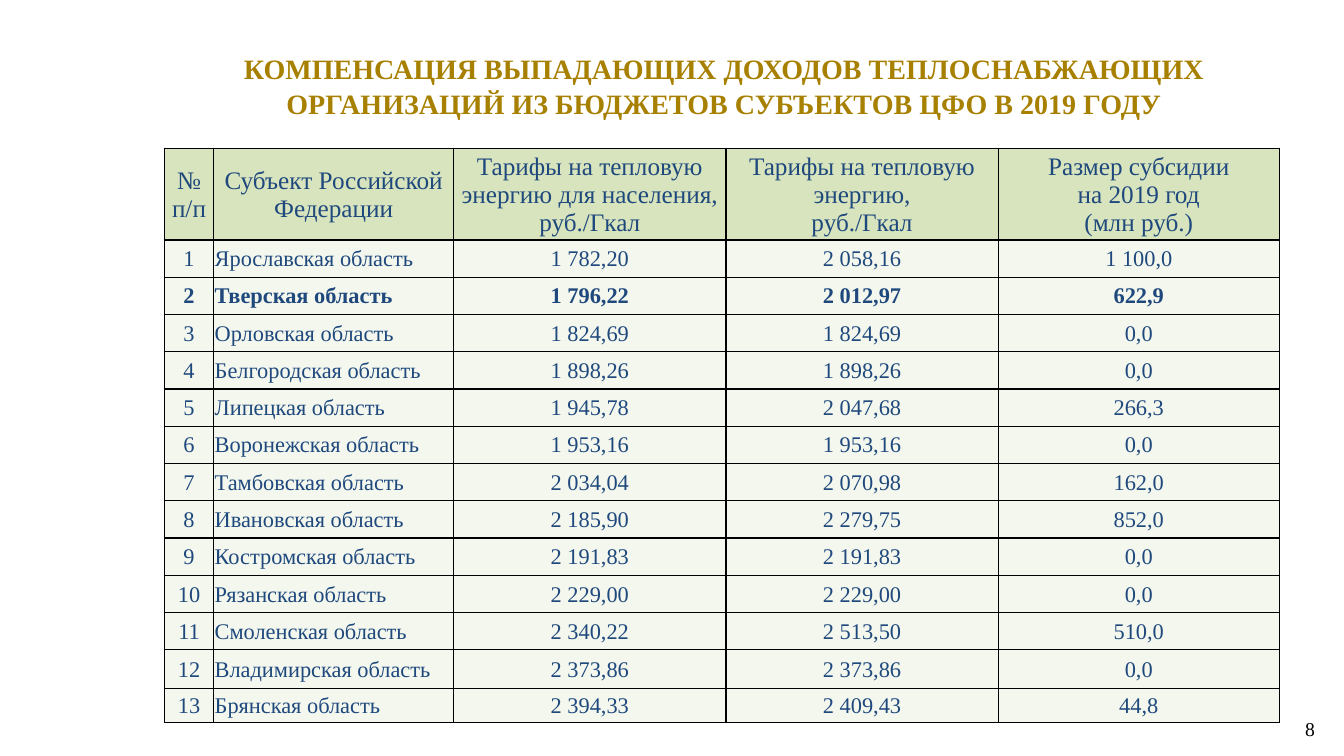
import pptx
import pptx.dml.color
import pptx.enum.text
import pptx.oxml
import pptx.oxml.ns
import pptx.util

RGBColor = pptx.dml.color.RGBColor
Inches = pptx.util.Inches
Pt = pptx.util.Pt
ALIGN = pptx.enum.text.PP_ALIGN
ANCHOR = pptx.enum.text.MSO_ANCHOR

GOLD = RGBColor(0xA8, 0x80, 0x00)
NAVY = RGBColor(0x1F, 0x49, 0x7D)
BLACK = RGBColor(0x00, 0x00, 0x00)
HEADER_GREEN = RGBColor(0xD7, 0xE4, 0xBD)
BODY_GREEN = RGBColor(0xEB, 0xF1, 0xDE)
FONT = "Times New Roman"

HEADER = [
    "№ п/п",
    "Субъект Российской Федерации",
    "Тарифы на тепловую энергию для населения,\nруб./Гкал",
    "Тарифы на тепловую энергию,\nруб./Гкал",
    "Размер субсидии\nна 2019 год\n(млн руб.)",
]
REGIONS = [
    ("Ярославская", "1 782,20", "2 058,16", "1 100,0"),
    ("Тверская", "1 796,22", "2 012,97", "622,9"),
    ("Орловская", "1 824,69", "1 824,69", "0,0"),
    ("Белгородская", "1 898,26", "1 898,26", "0,0"),
    ("Липецкая", "1 945,78", "2 047,68", "266,3"),
    ("Воронежская", "1 953,16", "1 953,16", "0,0"),
    ("Тамбовская", "2 034,04", "2 070,98", "162,0"),
    ("Ивановская", "2 185,90", "2 279,75", "852,0"),
    ("Костромская", "2 191,83", "2 191,83", "0,0"),
    ("Рязанская", "2 229,00", "2 229,00", "0,0"),
    ("Смоленская", "2 340,22", "2 513,50", "510,0"),
    ("Владимирская", "2 373,86", "2 373,86", "0,0"),
    ("Брянская", "2 394,33", "2 409,43", "44,8"),
]
HIGHLIGHTED_ROW = 2
COLUMN_WIDTHS = [0.49, 2.38, 2.7, 2.7, 2.79]
ROW_HEIGHTS = [0.91] + [0.37] * 11 + [0.38, 0.34]


def write(frame, text, size, color, bold=False, align=ALIGN.CENTER):
    frame.text = text
    for para in frame.paragraphs:
        para.alignment = align
        for span in para.runs:
            span.font.name = FONT
            span.font.size = Pt(size)
            span.font.bold = bold
            span.font.color.rgb = color


def finish_cell(cell, opacity):
    """Add black borders on all sides and make the solid fill translucent."""
    properties = cell._tc.get_or_add_tcPr()
    for position, side in enumerate(("lnL", "lnR", "lnT", "lnB")):
        properties.insert(position, pptx.oxml.parse_xml(
            f'<a:{side} {pptx.oxml.ns.nsdecls("a")} w="{Pt(1)}"><a:solidFill>'
            f'<a:srgbClr val="{BLACK}"/></a:solidFill></a:{side}>'))
    if opacity < 100:
        fill_color = properties.find(pptx.oxml.ns.qn("a:solidFill"))[0]
        fill_color.append(pptx.oxml.parse_xml(
            f'<a:alpha {pptx.oxml.ns.nsdecls("a")} val="{opacity * 1000}"/>'))


deck = pptx.Presentation()
deck.slide_width = Inches(13.33)
deck.slide_height = Inches(7.5)
page = deck.slides.add_slide(deck.slide_layouts[5])

title = page.shapes.title
title.left, title.top = Inches(1.63), Inches(0.44)
title.width, title.height = Inches(11.1), Inches(1.16)
title.text_frame.vertical_anchor = ANCHOR.TOP
write(title.text_frame,
      "КОМПЕНСАЦИЯ ВЫПАДАЮЩИХ ДОХОДОВ ТЕПЛОСНАБЖАЮЩИХ "
      "ОРГАНИЗАЦИЙ ИЗ БЮДЖЕТОВ СУБЪЕКТОВ ЦФО В 2019 ГОДУ",
      20, GOLD, bold=True)
title.text_frame.paragraphs[0].line_spacing = 1.05

number_box = page.shapes.add_textbox(
    Inches(12.81), Inches(7.06), Inches(0.33), Inches(0.34))
number_box.fill.solid()
number_box.fill.fore_color.rgb = RGBColor(0xFF, 0xFF, 0xFF)
number_box.text_frame.word_wrap = True
write(number_box.text_frame, "8", 14, BLACK, align=ALIGN.RIGHT)

rows = [HEADER]
for number, (region, *values) in enumerate(REGIONS, 1):
    rows.append([str(number), f"{region} область", *values])

table = page.shapes.add_table(
    len(rows), len(HEADER), Inches(1.63), Inches(1.47),
    Inches(sum(COLUMN_WIDTHS)), Inches(sum(ROW_HEIGHTS))).table
table.horz_banding = False
for column, width in zip(table.columns, COLUMN_WIDTHS):
    column.width = Inches(width)
for row, height in zip(table.rows, ROW_HEIGHTS):
    row.height = Inches(height)

for row_index, texts in enumerate(rows):
    is_header = row_index == 0
    for column_index, text in enumerate(texts):
        cell = table.cell(row_index, column_index)
        cell.margin_left = cell.margin_right = cell.margin_top = Inches(0.01)
        cell.margin_bottom = 0
        cell.vertical_anchor = ANCHOR.MIDDLE
        cell.fill.solid()
        cell.fill.fore_color.rgb = HEADER_GREEN if is_header else BODY_GREEN
        is_region = column_index == 1 and not is_header
        write(cell.text_frame, text, 18 if is_header else 16, NAVY,
              bold=row_index == HIGHLIGHTED_ROW,
              align=ALIGN.LEFT if is_region else ALIGN.CENTER)
        finish_cell(cell, 100 if is_header else 50)

deck.save("out.pptx")
